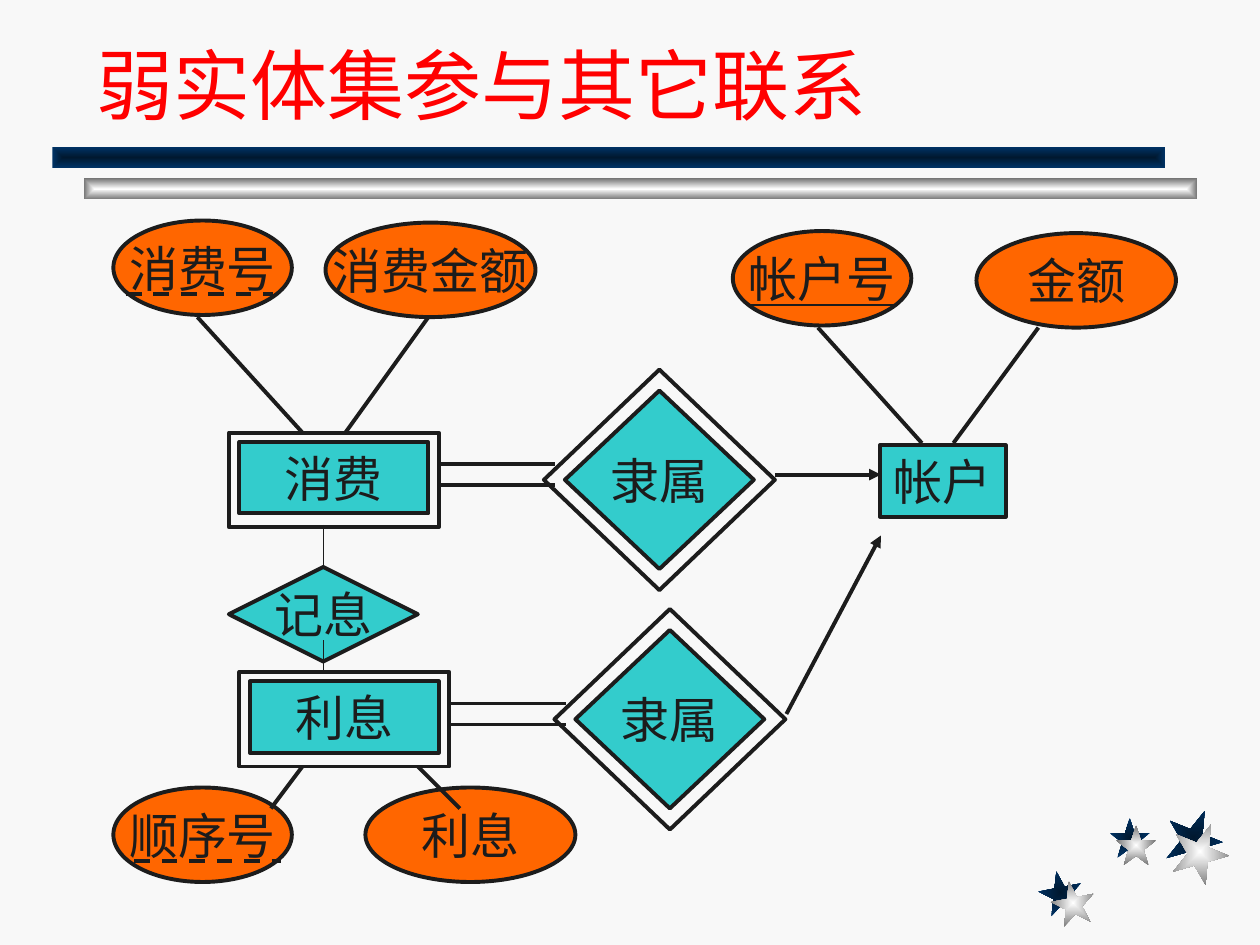
import math

import pptx
import pptx.dml.color
import pptx.enum.dml
import pptx.enum.shapes
import pptx.enum.text
import pptx.oxml
import pptx.oxml.ns
import pptx.util
from lxml import etree

RGBColor = pptx.dml.color.RGBColor
SHAPE = pptx.enum.shapes.MSO_SHAPE
ANCHOR = pptx.enum.text.MSO_ANCHOR
ALIGN = pptx.enum.text.PP_ALIGN
qn = pptx.oxml.ns.qn

BACKGROUND = RGBColor(0xF8, 0xF8, 0xF8)
INK = RGBColor(0x1C, 0x1C, 0x1C)
RED = RGBColor(0xFF, 0x00, 0x00)
TEAL = RGBColor(0x33, 0xCC, 0xCC)
ORANGE = RGBColor(0xFF, 0x66, 0x00)
NAVY = (RGBColor(0x00, 0x18, 0x2F), RGBColor(0x00, 0x33, 0x66))
SILVER = (RGBColor(0xFF, 0xFF, 0xFF), RGBColor(0x76, 0x76, 0x76))

presentation = pptx.Presentation()
presentation.slide_width = pptx.util.Inches(10)
presentation.slide_height = pptx.util.Inches(7.5)
# The grid has 120 columns and 90 rows of square cells.
CELL = presentation.slide_width // 120

slide = presentation.slides.add_slide(presentation.slide_layouts[5])
slide.background.fill.solid()
slide.background.fill.fore_color.rgb = BACKGROUND


def grid(*cells):
    return [round(cell * CELL) for cell in cells]


def shade(shape, colors):
    """Fill with a rectangular gradient from the centre outwards, without a line."""
    shape.shadow.inherit = False
    shape.line.fill.background()
    shape.fill.gradient()
    for stop, color, position in zip(shape.fill.gradient_stops, colors, (0, 1)):
        stop.color.rgb = color
        stop.position = position
    gradient = shape._element.spPr.find(qn("a:gradFill"))
    gradient.remove(gradient.find(qn("a:lin")))
    path = etree.SubElement(gradient, qn("a:path"), {"path": "rect"})
    etree.SubElement(path, qn("a:fillToRect"), dict.fromkeys("ltrb", "50000"))


# Stars in the corner: centre column and row, width, height, rotation
navy_stars = [(101, 85, 4.1, 4.1, -11), (107.6, 79.8, 3.8, 3.8, 0), (113.7, 79.8, 5.4, 5.5, 22)]
silver_shifts = [(1.2, 1), (0.6, 0.7), (0.6, 1.3)]
silver_stars = [
    (x + dx, y + dy, *rest)
    for (x, y, *rest), (dx, dy) in zip(navy_stars, silver_shifts)
]
for colors, stars in ((NAVY, navy_stars), (SILVER, silver_stars)):
    for x, y, width, height, rotation in stars:
        points = []
        for corner in range(10):
            reach = 0.38 if corner % 2 else 1
            angle = math.radians(36 * corner)
            across = reach * math.sin(angle) / 1.9
            down = (1 - reach * math.cos(angle)) / 1.81 - 0.5
            points.append(grid(x + across * width, y + down * height))
        outline = slide.shapes.build_freeform(*points[0])
        outline.add_line_segments(points[1:], close=True)
        star = outline.convert_to_shape()
        star.rotation = rotation
        shade(star, colors)

# Bars under the title
for left, top, colors in ((8, 17, SILVER), (5, 14, NAVY)):
    bar = slide.shapes.add_shape(SHAPE.RECTANGLE, *grid(left, top, 106, 2))
    shade(bar, colors)

title = slide.shapes.title
title.left, title.top, title.width, title.height = grid(8, 5, 102, 8)
title.text_frame.auto_size = pptx.enum.text.MSO_AUTO_SIZE.NONE
title.text_frame.vertical_anchor = ANCHOR.BOTTOM
paragraph = title.text_frame.paragraphs[0]
paragraph.alignment = ALIGN.LEFT
run = paragraph.add_run()
run.text = "弱实体集参与其它联系"
run.font.name = "Lato"
run.font.size = pptx.util.Pt(44)
run.font.color.rgb = RED

# Diagram nodes: kind, left, top, width, height, fill, text
nodes = [
    (SHAPE.RECTANGLE, 83.8, 42.4, 12, 6.8, TEAL, "帐户"),
    (SHAPE.DIAMOND, 21.8, 54, 18, 9, TEAL, "记息"),
    (SHAPE.OVAL, 10.8, 21, 17, 9, ORANGE, "消费号"),
    (SHAPE.OVAL, 31, 21.2, 20, 9, ORANGE, "消费金额"),
    (SHAPE.OVAL, 69.8, 22, 17, 9, ORANGE, "帐户号"),
    (SHAPE.OVAL, 93, 22.2, 19, 9, ORANGE, "金额"),
    (SHAPE.OVAL, 10.8, 75, 17, 9, ORANGE, "顺序号"),
    (SHAPE.OVAL, 34.8, 75, 20, 9, ORANGE, "利息"),
]
# Weak entity sets and their relationships have a double outline.
for shift, top, entity in ((0, 41.2, "消费"), (1, 64, "利息")):
    x, y = 21.8 + shift, top - 6
    nodes += [
        (SHAPE.RECTANGLE, x + 1, top + 0.9, 18, 6.8, TEAL, entity),
        (SHAPE.RECTANGLE, x, top, 20, 9, None, None),
        (SHAPE.DIAMOND, x + 32, y + 2, 18, 17, TEAL, "隶属"),
        (SHAPE.DIAMOND, x + 30, y, 22, 21, None, None),
    ]

for kind, left, top, width, height, fill, text in nodes:
    node = slide.shapes.add_shape(kind, *grid(left, top, width, height))
    node.shadow.inherit = False
    node.line.color.rgb = INK
    node.line.width = pptx.util.Pt(2.25)
    if fill is None:
        node.fill.background()
        continue
    node.fill.solid()
    node.fill.fore_color.rgb = fill
    frame = node.text_frame
    is_box = kind == SHAPE.RECTANGLE
    frame.word_wrap = is_box
    frame.vertical_anchor = ANCHOR.TOP if is_box else ANCHOR.MIDDLE
    paragraph = frame.paragraphs[0]
    paragraph.alignment = ALIGN.CENTER
    run = paragraph.add_run()
    run.text = text
    run.font.name = "Times New Roman"
    run.font.size = pptx.util.Pt(28)
    run.font.color.rgb = INK
    if text == "帐户号":
        run.font.underline = True

# Links: start column and row, end column and row, width in points, style
links = [
    (28.8, 41.2, 18.8, 30.2, 2.25, None),
    (32.9, 41.2, 40.8, 30.2, 2.25, None),
    (87.8, 42.2, 77.9, 31.2, 2.25, None),
    (90.8, 42.2, 98.9, 31.2, 2.25, None),
    (43.8, 77, 39.8, 73, 2.25, None),
    (25.8, 77, 28.8, 73, 2.25, None),
    (30.8, 50, 30.8, 54, 0.75, None),
    (30.8, 64, 30.8, 61, 0.75, None),
    (73.8, 45.2, 83.9, 45.2, 2.25, "arrow"),
    (74.9, 68, 83.9, 51, 2.25, "arrow"),
    (12, 28, 26, 28, 2.25, "dash"),
    (12.8, 82, 26.8, 82, 2.25, "dash"),
]
# Total participation is a pair of parallel lines.
for left, top in ((41.9, 44.2), (42.9, 67)):
    links += [(left, row, left + 11, row, 2.25, None) for row in (top, top + 2)]

for *ends, width, style in links:
    link = slide.shapes.add_connector(
        pptx.enum.shapes.MSO_CONNECTOR.STRAIGHT, *grid(*ends)
    )
    link.line.color.rgb = INK
    link.line.width = pptx.util.Pt(width)
    if style == "dash":
        link.line.dash_style = pptx.enum.dml.MSO_LINE.DASH
    elif style == "arrow":
        etree.SubElement(link.line._get_or_add_ln(), qn("a:tailEnd"), type="triangle")
    etree.SubElement(link._element.spPr, qn("a:effectLst"))

presentation.save("out.pptx")
